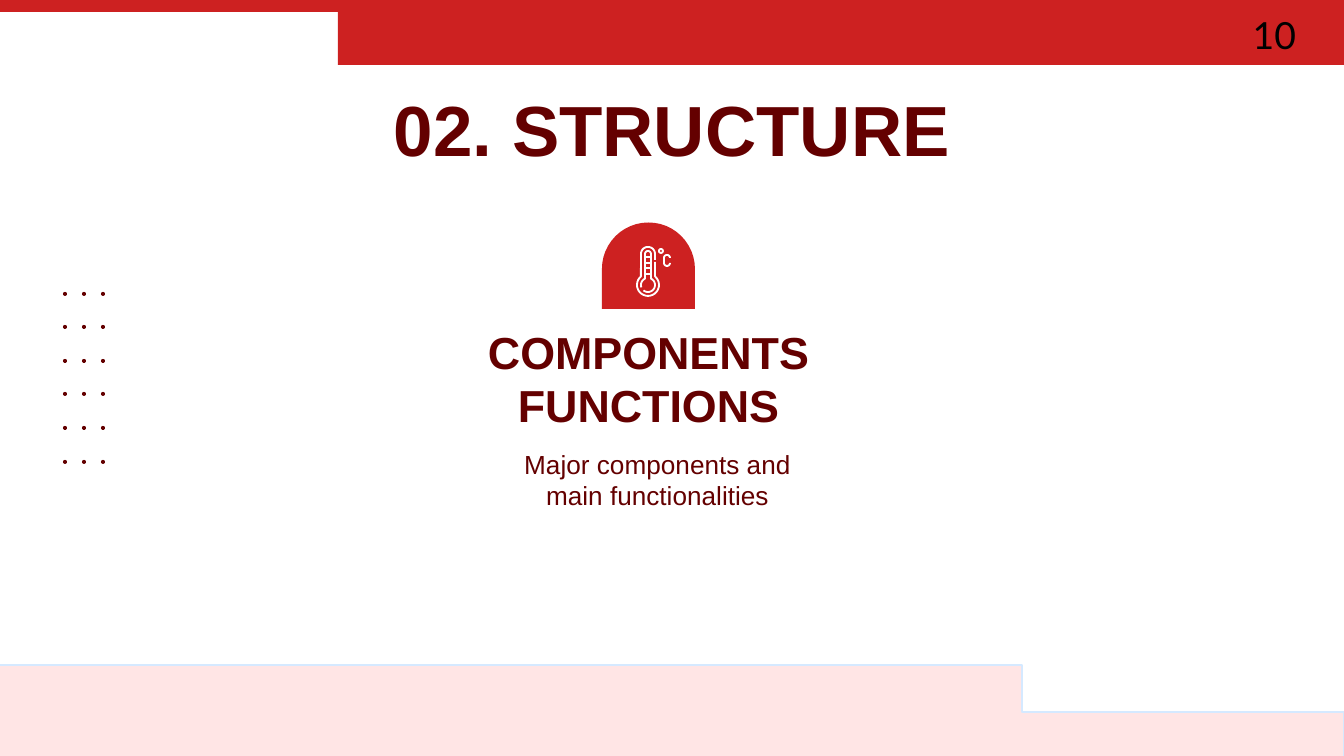
from math import cos, radians, sin

from lxml.etree import SubElement
from pptx import Presentation
from pptx.dml.color import RGBColor
from pptx.enum.shapes import MSO_CONNECTOR, MSO_SHAPE
from pptx.enum.text import MSO_ANCHOR, PP_ALIGN
from pptx.oxml.ns import qn
from pptx.util import Emu, Pt

EMU_PER_PX = 914400 / 134.4
RED, PINK, MAROON = "CD2121", "FFE5E5", "640000"
WHITE, BLACK, PALE_BLUE = "FFFFFF", "000000", "D5E9FF"


def px(length):
    """Turn pixels into EMU."""
    return Emu(round(length * EMU_PER_PX))


def color(value):
    """Turn a hex string into a colour."""
    return RGBColor.from_string(value)


def paint(shape, fill=None, line=None, width=1):
    """Set the fill and outline of a shape and drop its shadow."""
    shape.shadow.inherit = False
    if fill:
        shape.fill.solid()
        shape.fill.fore_color.rgb = color(fill)
    else:
        shape.fill.background()
    if line:
        shape.line.color.rgb = color(line)
        shape.line.width = Pt(width)
    else:
        shape.line.fill.background()


def add_outline(page, points, close=True, **style):
    """Draw a freeform through the given points."""
    corners = [(px(x), px(y)) for x, y in points]
    builder = page.shapes.build_freeform(*corners[0], scale=1.0)
    builder.add_line_segments(corners[1:], close=close)
    paint(builder.convert_to_shape(), **style)


def add_oval(page, left, top, size, **style):
    """Draw a circle."""
    oval = page.shapes.add_shape(MSO_SHAPE.OVAL, px(left), px(top), px(size), px(size))
    paint(oval, **style)


def add_line(page, start, end, line):
    """Draw a straight line."""
    connector = page.shapes.add_connector(
        MSO_CONNECTOR.STRAIGHT, *(px(value) for value in (*start, *end)))
    connector.line.color.rgb = color(line)
    connector.line.width = Pt(1)
    SubElement(connector._element.spPr, qn("a:effectLst"))


def add_text(page, text, area, size, fill=MAROON, font="Arial", bold=False,
             align=PP_ALIGN.CENTER, anchor=MSO_ANCHOR.TOP, top=13, bottom=13):
    """Add a wrapped text box with one formatted paragraph."""
    box = page.shapes.add_textbox(*(px(value) for value in area))
    frame = box.text_frame
    frame.word_wrap = True
    frame.vertical_anchor = anchor
    frame.margin_left = frame.margin_right = px(13)
    frame.margin_top, frame.margin_bottom = px(top), px(bottom)
    para = frame.paragraphs[0]
    para.alignment = align
    span = para.add_run()
    span.text = text
    span.font.name = font
    span.font.size = Pt(size)
    span.font.bold = bold
    span.font.color.rgb = color(fill)


def arc(x, y, radius, start, end, steps=24):
    """Return points on an arc, with angles in degrees clockwise from the right."""
    angles = [radians(start + (end - start) * step / steps) for step in range(steps + 1)]
    return [(x + radius * cos(angle), y + radius * sin(angle)) for angle in angles]


def add_bands(page):
    """Draw the stepped bands at the top and bottom."""
    add_outline(page, [(-9, -30), (-9, 12), (338, 12), (338, 65), (1465, 65), (1465, -30)],
                fill=RED)
    add_outline(page, [(-24, 665), (-24, 853), (1344, 853), (1344, 712), (1022, 712),
                       (1022, 665)], fill=PINK, line=PALE_BLUE, width=0.75)


def add_dots(page):
    """Draw the grid of small dots."""
    for column in range(3):
        for row in range(6):
            add_oval(page, 63 + 19 * column, 292 + 168 * row // 5, 4, fill=MAROON)


def add_thermometer(page):
    """Draw the thermometer on its arched badge."""
    add_outline(page, [(602, 309), *arc(648.5, 269, 46.5, 180, 360), (695, 309)], fill=RED)
    glass = [(655, 262), *arc(648, 285, 11, -50, 230), *arc(648, 254, 7, 180, 360), (655, 260)]
    tube = [*arc(648, 285, 7, 160, 245), *arc(648, 254, 3, 180, 360),
            *arc(648, 285, 7, 295, 490)]
    letter = [*arc(667, 258, 3, 0, -180), *arc(667, 263, 3, 180, 0)]
    for points in (glass, tube, letter):
        add_outline(page, points, close=False, line=WHITE)
    for y in (257, 263, 268, 274):
        add_line(page, (645, y), (651, y), WHITE)
    add_oval(page, 659, 249, 4, line=WHITE)


def main():
    """Build and save the slide."""
    deck = Presentation()
    deck.slide_width, deck.slide_height = px(1344), px(756)
    page = deck.slides.add_slide(deck.slide_layouts[6])
    add_bands(page)
    add_dots(page)
    add_text(page, "02. STRUCTURE", (105, 66, 1134, 99), 38, bold=True, top=20)
    add_text(page, "Major components and main functionalities", (480, 431, 355, 149), 14,
             top=17)
    add_text(page, "COMPONENTS FUNCTIONS", (448, 362, 401, 82), 24, bold=True,
             anchor=MSO_ANCHOR.BOTTOM, bottom=12)
    add_thermometer(page)
    add_text(page, "10", (1007, 15, 302, 40), 20, fill=BLACK, font="Lato",
             align=PP_ALIGN.RIGHT, anchor=MSO_ANCHOR.MIDDLE, top=7, bottom=7)
    deck.save("out.pptx")


if __name__ == "__main__":
    main()
